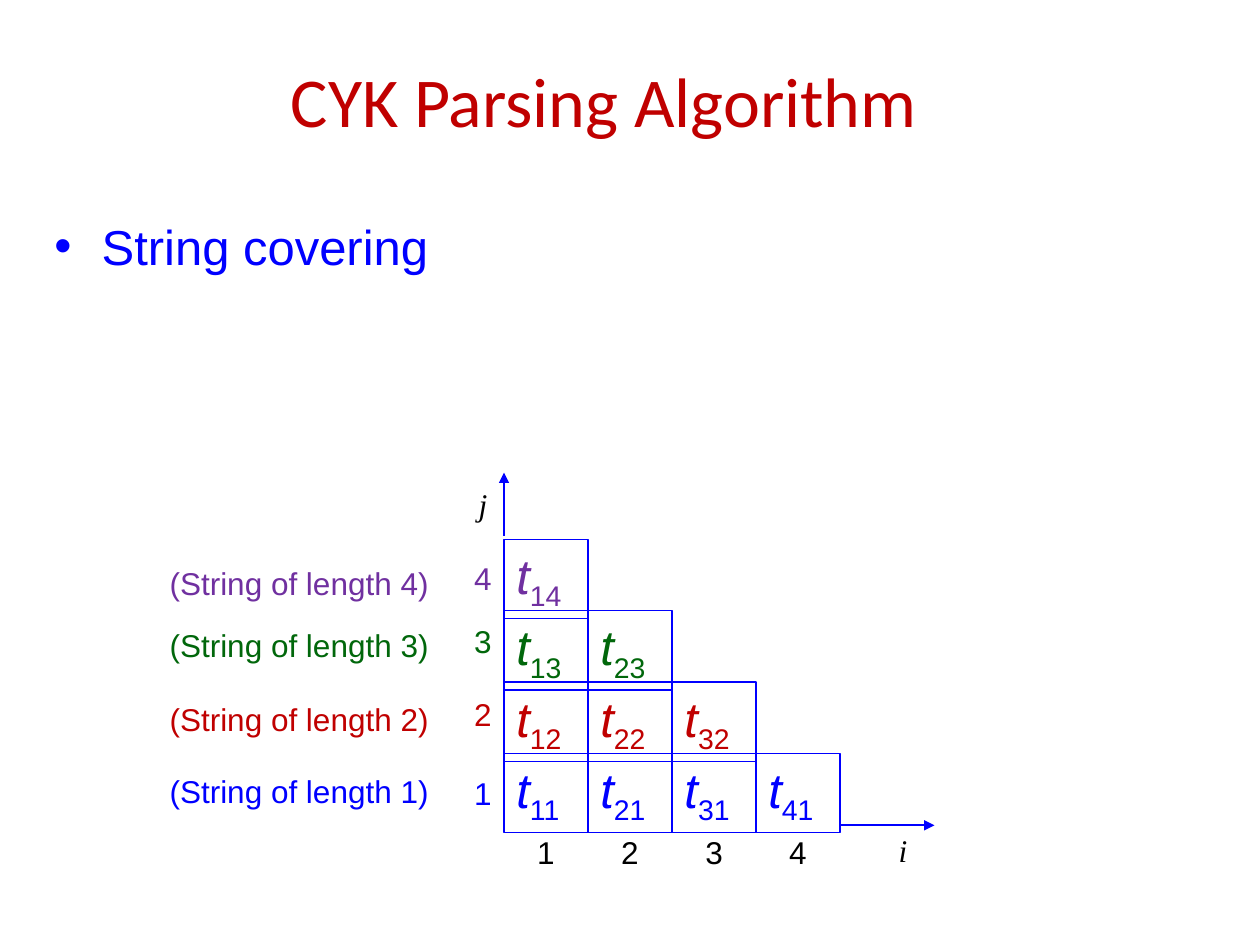
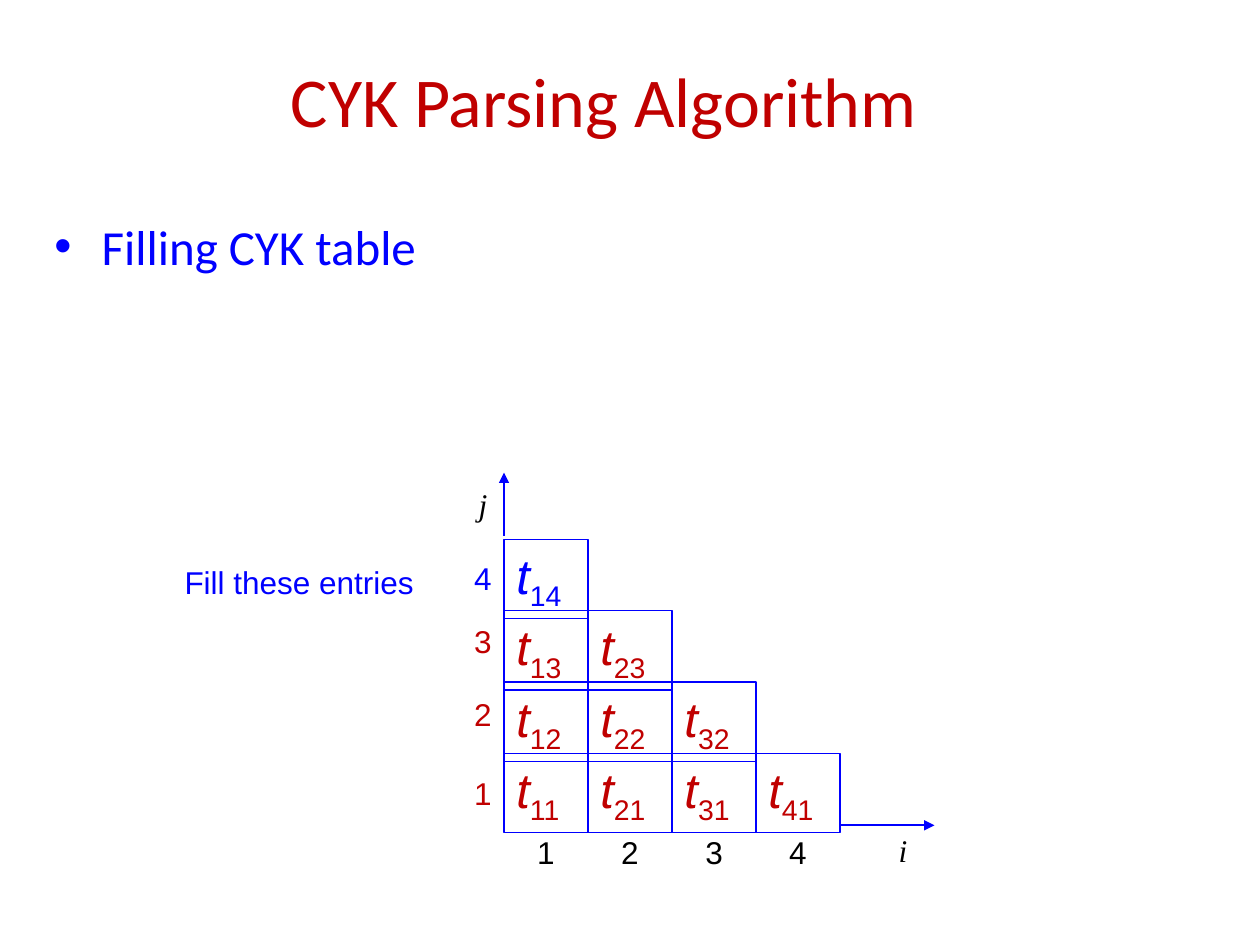
from pptx import Presentation, util as u
from pptx.dml.color import RGBColor
from pptx.enum import shapes, text
from pptx.oxml.ns import qn
from lxml import etree

Pt = u.Pt
COLORS = {
    "blue": "0000FF",
    "red": "C00000",
    "green": "01670B",
    "purple": "7030A0",
    "black": "000000",
}
SIZE = 4
GRID_LEFT = 288
CELL_WIDTH = 48
CELL_HEIGHT = 45.36
BOTTOM_ROW_TOP = 430.56
ROW_PITCH = 40.8
LABEL_HEIGHT = 28.8
ROW_NUMBER_TOPS = [438.48, 393.84, 352.08, 316.08]
NOTE_TOPS = [437.76, 396.72, 354.24, 318.96]


def rgb(color):
    return RGBColor.from_string(COLORS[color])


def write(frame, content, size=18, font="Arial", color="black", italic=False,
          align=text.PP_ALIGN.CENTER, anchor=text.MSO_ANCHOR.TOP, subscript=""):
    frame.word_wrap = True
    frame.auto_size = text.MSO_AUTO_SIZE.NONE
    frame.vertical_anchor = anchor
    paragraph = frame.paragraphs[0]
    paragraph.alignment = align
    for part in filter(None, (content, subscript)):
        run = paragraph.add_run()
        run.text = part
        run.font.size = Pt(size)
        run.font.name = font
        run.font.color.rgb = rgb(color)
        run.font.italic = italic and part == content
    if subscript:
        run._r.get_or_add_rPr().set("baseline", "-25000")
    return paragraph


def add_label(slide, content, left, top, width=CELL_WIDTH, height=LABEL_HEIGHT, **style):
    box = slide.shapes.add_textbox(Pt(left), Pt(top), Pt(width), Pt(height))
    return write(box.text_frame, content, **style)


def add_title(slide, content):
    title = slide.shapes.title
    title.left, title.top, title.width, title.height = Pt(24), Pt(36), Pt(642), Pt(42)
    write(title.text_frame, content, size=40, font="Calibri", color="red",
          anchor=text.MSO_ANCHOR.MIDDLE)


def add_bullet(slide, content, font):
    paragraph = add_label(slide, content, 24, 120, 646.5, 114, size=28, font=font,
                          color="blue", align=text.PP_ALIGN.LEFT)
    paragraph.space_before = Pt(7)
    properties = paragraph._p.get_or_add_pPr()
    properties.set("marL", str(Pt(27)))
    properties.set("indent", str(-Pt(27)))
    bullet_color = etree.SubElement(properties, qn("a:buClr"))
    etree.SubElement(bullet_color, qn("a:srgbClr"), val=COLORS["blue"])
    etree.SubElement(properties, qn("a:buFont"), typeface="Arial")
    etree.SubElement(properties, qn("a:buChar"), char="•")


def add_cell(slide, i, j, color):
    cell = slide.shapes.add_shape(
        shapes.MSO_SHAPE.RECTANGLE,
        Pt(GRID_LEFT + (i - 1) * CELL_WIDTH), Pt(BOTTOM_ROW_TOP - (j - 1) * ROW_PITCH),
        Pt(CELL_WIDTH), Pt(CELL_HEIGHT))
    cell.shadow.inherit = False
    cell.fill.background()
    cell.line.color.rgb = rgb("blue")
    cell.line.width = Pt(0.75)
    write(cell.text_frame, "t", subscript=f"{i}{j}", size=28, color=color,
          italic=True, align=text.PP_ALIGN.LEFT)


def add_axis(slide, start, end):
    axis = slide.shapes.add_connector(
        shapes.MSO_CONNECTOR.STRAIGHT, *(Pt(value) for value in start + end))
    axis.line.color.rgb = rgb("blue")
    axis.line.width = Pt(1)
    etree.SubElement(axis.line._get_or_add_ln(), qn("a:tailEnd"), type="triangle")
    etree.SubElement(axis._element.spPr, qn("a:effectLst"))


def add_cyk_table(slide, row_colors):
    for i in range(1, SIZE + 1):
        for j in range(SIZE + 1 - i, 0, -1):
            add_cell(slide, i, j, row_colors[j - 1])
    add_axis(slide, (480, 471.6), (534, 471.6))
    add_axis(slide, (288, 306), (288, 270))
    for i in range(SIZE):
        add_label(slide, str(i + 1), GRID_LEFT + i * CELL_WIDTH, 472.32)
    for j, (top, color) in enumerate(zip(ROW_NUMBER_TOPS, row_colors), 1):
        add_label(slide, str(j), 252, top, color=color)
    variable = {"font": "Times New Roman", "italic": True}
    add_label(slide, "i", 504, 471.6, 24, **variable)
    add_label(slide, "j", 252, 273.6, **variable)


def add_note(slide, content, top, color):
    add_label(slide, content, 84, top, 174, color=color)


def add_cyk_slide(deck, topic, topic_font, row_colors):
    slide = deck.slides.add_slide(deck.slide_layouts[5])
    add_title(slide, "CYK Parsing Algorithm")
    add_bullet(slide, topic, topic_font)
    add_cyk_table(slide, row_colors)
    return slide


def main():
    deck = Presentation()
    deck.slide_width, deck.slide_height = Pt(720), Pt(540)

    length_colors = ["blue", "red", "green", "purple"]
    covering = add_cyk_slide(deck, "String covering", "Arial", length_colors)
    for length, (top, color) in enumerate(zip(NOTE_TOPS, length_colors), 1):
        add_note(covering, f"(String of length {length})", top, color)

    filling = add_cyk_slide(deck, "Filling CYK table", "Calibri",
                            ["red", "red", "red", "blue"])
    add_note(filling, "Fill these entries", 318.24, "blue")

    deck.save("out.pptx")


if __name__ == "__main__":
    main()
